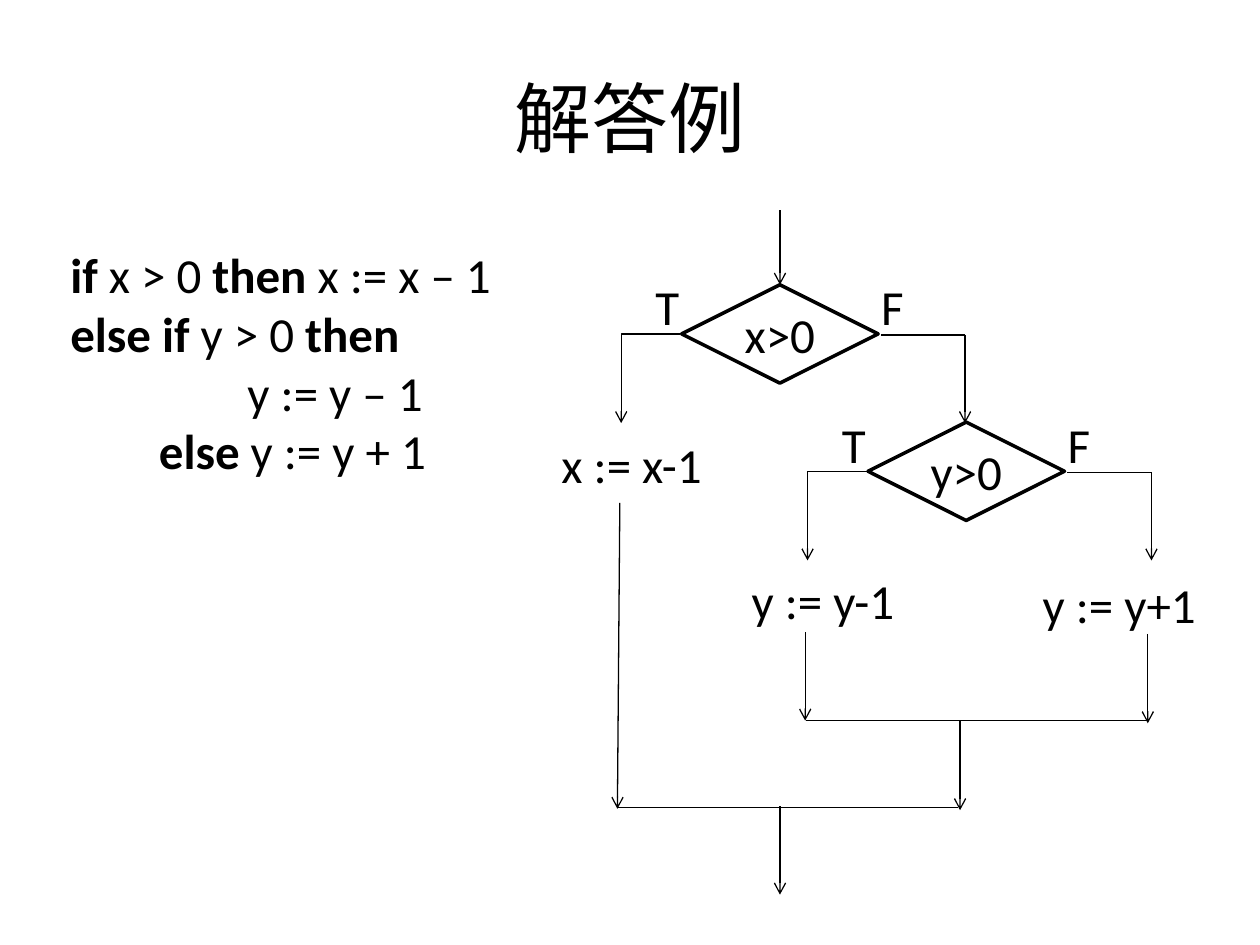
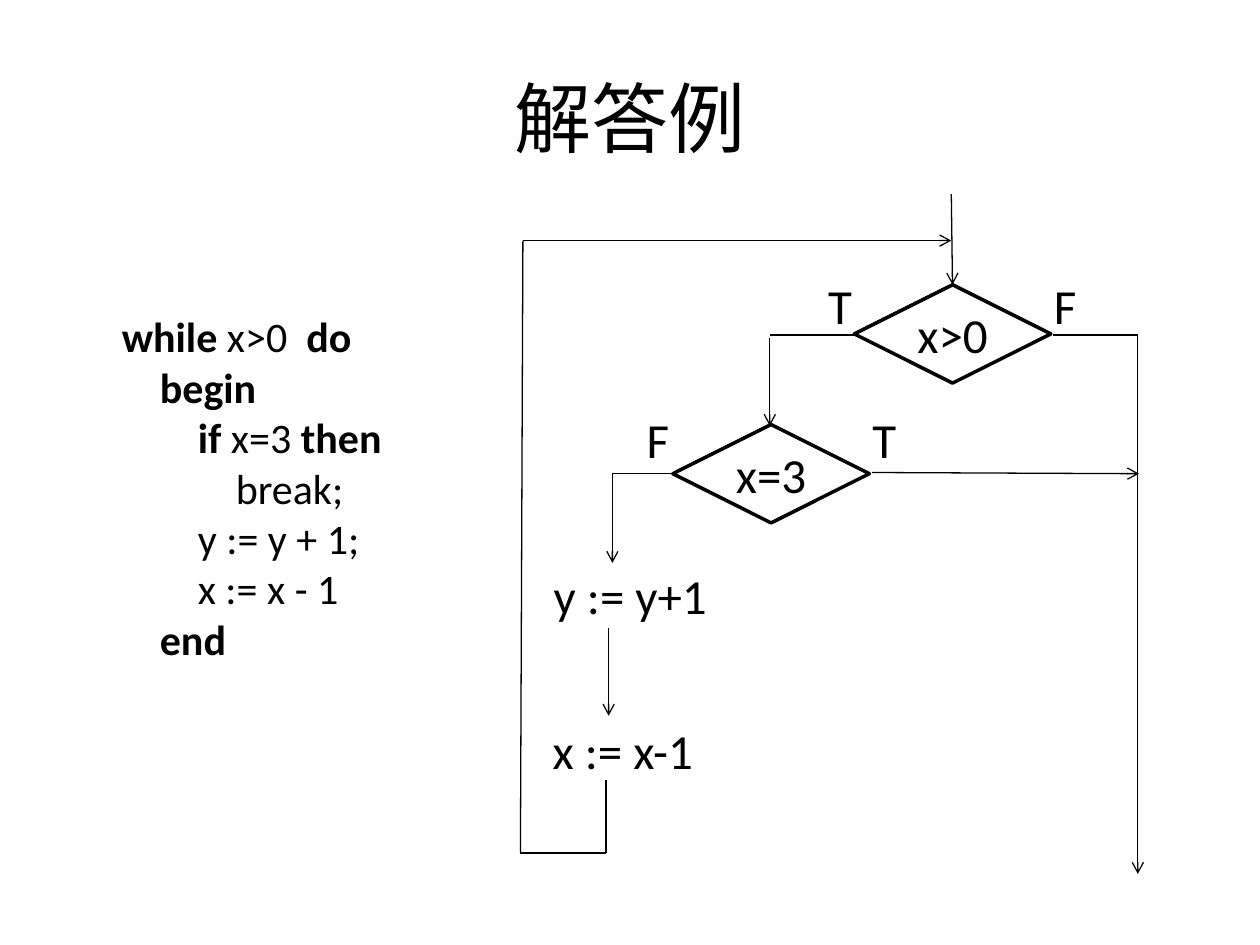
from lxml.etree import SubElement
from pptx import Presentation
from pptx.dml.color import RGBColor
from pptx.enum.shapes import MSO_CONNECTOR, MSO_SHAPE
from pptx.enum.text import MSO_ANCHOR, PP_ALIGN
from pptx.oxml.ns import qn
from pptx.util import Pt

COLORS = {"ink": "000000"}
INK = RGBColor.from_string(COLORS["ink"])
FONT = "Calibri"
TITLE = "解答例"
DIAMOND_W, DIAMOND_H = 112.3, 56.2
LABEL_SIZE = 28
STEP_W = 120

IF_CODE = [
    "*if *x > 0 *then *x := x – 1",
    "*else if *y > 0 *then*",
    "                y := y – 1",
    "*        else *y := y + 1",
]
WHILE_CODE = [
    "*while* x>0  *do*",
    "*    begin*",
    "        *if* x=3 *then*",
    "            break;",
    "        y := y + 1;",
    "        x := x - 1",
    "*    end*",
]


def style_font(font, size, bold=False):
    """Apply the shared typeface and ink colour."""
    font.name, font.size, font.bold = FONT, Pt(size), bold
    font.color.rgb = INK


def add_title_slide(prs):
    """Add a slide with the shared title."""
    s = prs.slides.add_slide(prs.slide_layouts[5])
    title = s.shapes.title
    title.left, title.top, title.width, title.height = Pt(36), Pt(21.6), Pt(648), Pt(90)
    tf = title.text_frame
    tf.text = TITLE
    tf.vertical_anchor = MSO_ANCHOR.MIDDLE
    p = tf.paragraphs[0]
    p.alignment = PP_ALIGN.CENTER
    style_font(p.runs[0].font, 44)
    return s


def add_code(s, box, lines, size):
    """Write code lines in a box, with bold keywords between asterisks."""
    tf = s.shapes.add_textbox(*map(Pt, box)).text_frame
    tf.word_wrap = True
    for i, line in enumerate(lines):
        p = tf.paragraphs[0] if i == 0 else tf.add_paragraph()
        for j, part in enumerate(line.split("*")):
            if part:
                r = p.add_run()
                r.text = part
                style_font(r.font, size, bold=j % 2 == 1)


class Flowchart:
    """Draws flowchart parts relative to a top-left corner."""

    def __init__(self, s, left, top):
        """Keep the slide and the corner."""
        self.shapes, self.left, self.top = s.shapes, left, top

    def at(self, x, y):
        """Turn a chart position into a slide position."""
        return Pt(self.left + x), Pt(self.top + y)

    def line(self, start, end, arrow=False, kind=MSO_CONNECTOR.STRAIGHT):
        """Connect two points, with an optional arrowhead at the end."""
        cxn = self.shapes.add_connector(kind, *self.at(*start), *self.at(*end))
        cxn.line.color.rgb = INK
        cxn.line.width = Pt(0.75)
        sp_pr = cxn._element.spPr
        if kind == MSO_CONNECTOR.ELBOW:
            sp_pr.find(qn("a:prstGeom")).set("prst", "bentConnector2")
        if arrow:
            SubElement(cxn.line._get_or_add_ln(), qn("a:tailEnd"), type="arrow")
        SubElement(sp_pr, qn("a:effectLst"))

    def lines(self, points, arrow=False):
        """Connect each pair of points."""
        for start, end in points:
            self.line(start, end, arrow)

    def text(self, x, y, w, text, indent=0):
        """Place a one-line label."""
        sp = self.shapes.add_textbox(*self.at(x, y), Pt(w), Pt(41))
        tf = sp.text_frame
        tf.word_wrap = False
        tf.margin_left = Pt(7.2 + indent)
        tf.text = text
        style_font(tf.paragraphs[0].runs[0].font, LABEL_SIZE)

    def step(self, x, y, text):
        """Place an assignment step."""
        self.text(x, y, STEP_W, text, indent=12.6)

    def decision(self, x, y, text, labels="TF", rise=8):
        """Draw a diamond with a label on each side."""
        sp = self.shapes.add_shape(
            MSO_SHAPE.DIAMOND, *self.at(x, y), Pt(DIAMOND_W), Pt(DIAMOND_H))
        sp.shadow.inherit = False
        sp.fill.background()
        sp.line.color.rgb = INK
        sp.line.width = Pt(2)
        tf = sp.text_frame
        tf.word_wrap = False
        tf.vertical_anchor = MSO_ANCHOR.MIDDLE
        tf.text = text
        p = tf.paragraphs[0]
        p.alignment = PP_ALIGN.CENTER
        style_font(p.runs[0].font, LABEL_SIZE)
        for dx, label in zip((-22, 107), labels):
            self.text(x + dx, y - rise, 28, label)

    def left_branch(self, x, y):
        """Lead from the left corner of a diamond down to its step."""
        mid = y + DIAMOND_H / 2
        self.line((x - 0.7, mid), (x - 34.5, mid + 51), True, MSO_CONNECTOR.ELBOW)

    def right_branch(self, x, y, drop):
        """Lead from the right corner of a diamond, then down."""
        start, mid = x + DIAMOND_W + 1.5, y + DIAMOND_H / 2 + 0.6
        corner = (start + 48.2, mid)
        self.line((start, mid), corner)
        self.line(corner, (corner[0], mid + drop), True)


def draw_if_chart(s, left, top):
    """Draw the nested conditional."""
    chart = Flowchart(s, left, top)
    for x, y, text in ((89.5, 42.7, "x>0"), (196, 121.2, "y>0")):
        chart.decision(x, y, text)
        chart.left_branch(x, y)
        chart.right_branch(x, y, 50.4)
    chart.step(1, 124.8, "x := x-1")
    chart.step(109.7, 202.6, "y := y-1")
    chart.step(276, 204.7, "y := y+1")
    chart.lines([
        ((145.7, 0.2), (145.7, 42.7)),
        ((160.1, 241.4), (160.1, 291.8)),
        ((355.9, 242.2), (355.9, 293.3)),
        ((248.6, 291.8), (248.6, 343)),
        ((54.2, 167.3), (52.8, 342.2)),
        ((145.7, 340.8), (145.7, 391.2)),
    ], arrow=True)
    chart.lines([
        ((160.8, 291.8), (355.2, 291.8)),
        ((52.8, 341.5), (247.2, 341.5)),
    ])


def draw_while_chart(s, left, top):
    """Draw the loop with a break."""
    chart = Flowchart(s, left, top)
    test, stop = (192.2, 52.7), (88.5, 132.6)
    chart.decision(*test, "x>0", rise=9)
    chart.right_branch(*test, 308)
    chart.decision(*stop, "x=3", labels="FT", rise=12)
    chart.left_branch(*stop)
    chart.step(0.6, 209.7, "y := y+1")
    chart.step(0, 298.2, "x := x-1")
    chart.lines([
        ((247.6, 0.9), (248.3, 52.7)),
        ((143.9, 83), (143.9, 133.4)),
        ((202.2, 160), (354.9, 160.7)),
        ((51.8, 248.6), (51.8, 299)),
        ((2.8, 27.5), (247.6, 27.5)),
    ], arrow=True)
    chart.lines([
        ((192.2, 81.5), (143.9, 81.5)),
        ((50.3, 335.7), (50.3, 377.4)),
        ((50.3, 377.4), (1.4, 377.4)),
        ((2.8, 27.5), (1.4, 377.4)),
    ])


def main():
    """Build both answer slides."""
    prs = Presentation()
    prs.slide_width, prs.slide_height = Pt(720), Pt(540)
    s = add_title_slide(prs)
    add_code(s, (33.1, 136.1, 259.2, 143.3), IF_CODE, 28)
    draw_if_chart(s, 300, 120)
    s = add_title_slide(prs)
    add_code(s, (62.6, 174.2, 184.3, 211), WHILE_CODE, 24)
    draw_while_chart(s, 296, 110)
    prs.save("out.pptx")


if __name__ == "__main__":
    main()
